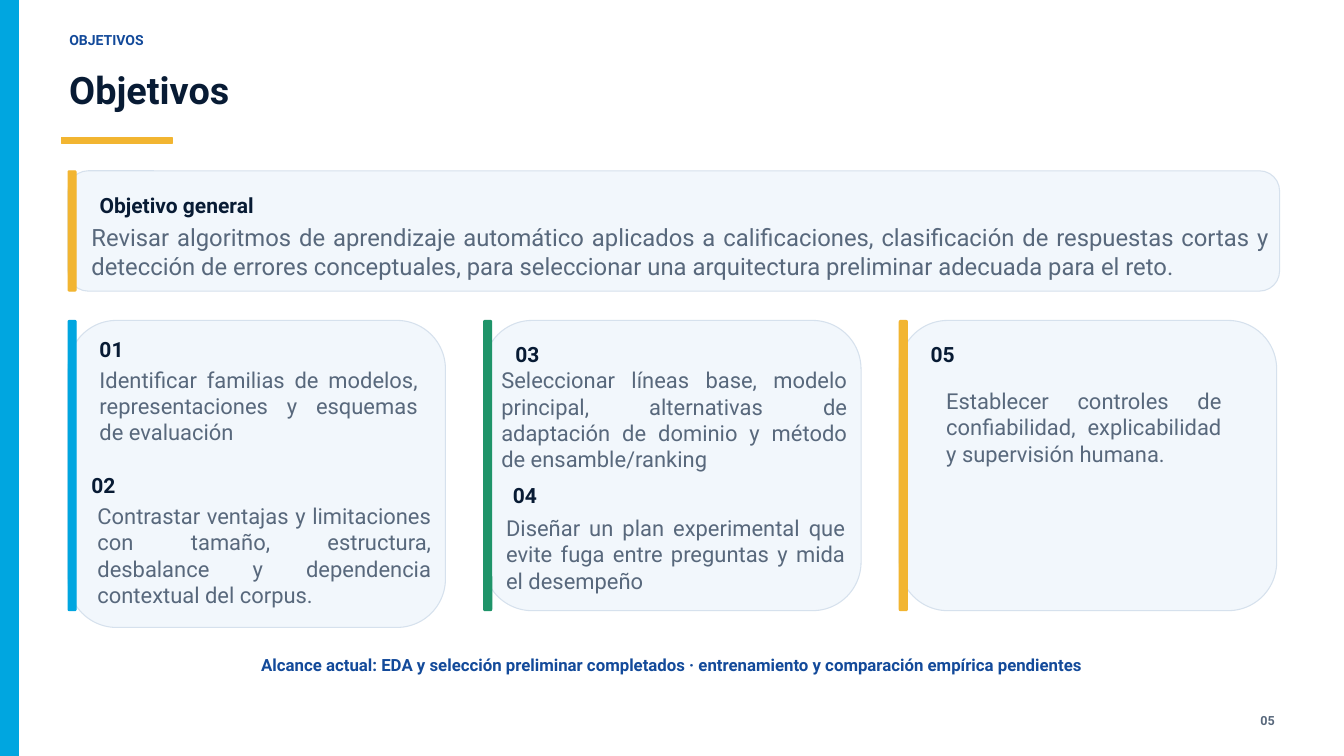
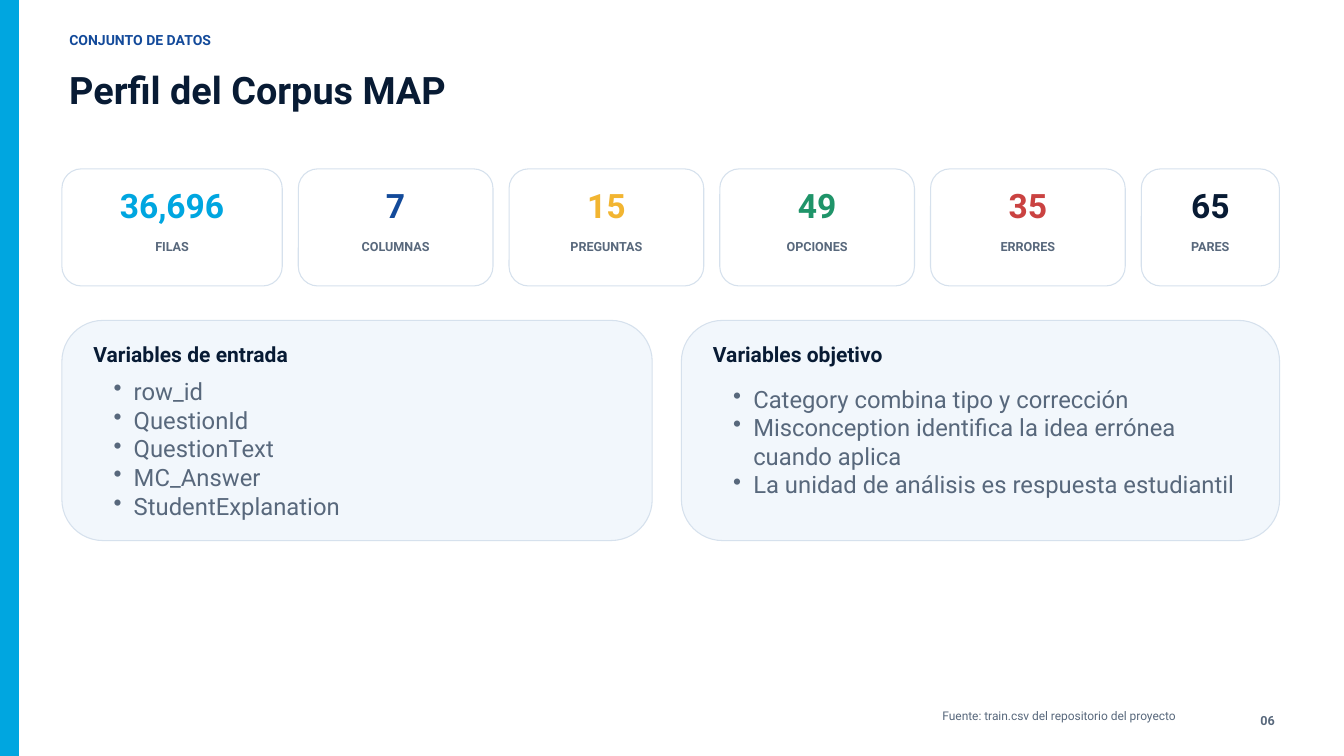
import pptx
import pptx.dml.color
import pptx.enum.shapes
import pptx.enum.text
import pptx.oxml.ns
import pptx.util
from lxml import etree

Pt = pptx.util.Pt
RGBColor = pptx.dml.color.RGBColor
ALIGN = pptx.enum.text.PP_ALIGN
SHAPE = pptx.enum.shapes.MSO_SHAPE

WHITE = RGBColor(0xFF, 0xFF, 0xFF)
CYAN = RGBColor(0x00, 0xA6, 0xE0)
BLUE = RGBColor(0x13, 0x4A, 0x9A)
NAVY = RGBColor(0x08, 0x1B, 0x34)
SLATE = RGBColor(0x58, 0x68, 0x7C)
GOLD = RGBColor(0xF2, 0xB5, 0x31)
GREEN = RGBColor(0x1F, 0x94, 0x69)
RED = RGBColor(0xCA, 0x42, 0x41)
PANEL = RGBColor(0xF2, 0xF7, 0xFC)
BORDER = RGBColor(0xD6, 0xE1, 0xED)

WIDTH, HEIGHT = 1440, 810
LEFT, RIGHT = 66.3, 1371
ACCENT_LEFT = 72.9
PANEL_TOP = 343.3


class Deck:
    """Hold the shared style and the current slide, and draw elements on it."""

    def __init__(self):
        self.presentation = pptx.Presentation()
        self.presentation.slide_width = Pt(WIDTH)
        self.presentation.slide_height = Pt(HEIGHT)
        self.slide = None

    def start_slide(self, section, title, number):
        """Add a slide with its side band, section, title and number."""
        layout = self.presentation.slide_layouts[6]
        self.slide = self.presentation.slides.add_slide(layout)
        self.slide.background.fill.solid()
        self.slide.background.fill.fore_color.rgb = WHITE
        self.box(0, 0, 20.2, HEIGHT, CYAN)
        self.text(section, 74.2, 33.8, 904, 23, size=15, color=BLUE, bold=True)
        self.text(title, 74.2, 71.3, 1271.5, 47.5, size=40.5, color=NAVY, bold=True)
        self.text(number, 1320.5, 763.9, 45.4, 16.6, size=13.5, bold=True, align=ALIGN.RIGHT)

    def box(self, left, top, width, height, fill, line=None, radius=0):
        """Draw a rectangle, rounded when a radius is given."""
        kind = SHAPE.ROUNDED_RECTANGLE if radius else SHAPE.RECTANGLE
        shape = self.slide.shapes.add_shape(kind, Pt(left), Pt(top), Pt(width), Pt(height))
        if radius:
            shape.adjustments[0] = radius / min(width, height)
        shape.shadow.inherit = False
        shape.fill.solid()
        shape.fill.fore_color.rgb = fill
        shape.line.color.rgb = line or fill
        shape.line.width = Pt(1.13)

    def text(self, content, left, top, width, height, *, size, color=SLATE,
             bold=False, align=ALIGN.LEFT, bullet=False):
        """Add a text box with one paragraph per line of content."""
        shape = self.slide.shapes.add_textbox(Pt(left), Pt(top), Pt(width), Pt(height))
        frame = shape.text_frame
        frame.word_wrap = True
        frame.auto_size = pptx.enum.text.MSO_AUTO_SIZE.SHAPE_TO_FIT_TEXT
        frame.margin_left = frame.margin_top = frame.margin_right = frame.margin_bottom = 0
        frame.text = content
        for paragraph in frame.paragraphs:
            paragraph.alignment = align
            paragraph.line_spacing = Pt(1.2 * size)
            if bullet:
                self.add_bullet(paragraph)
            paragraph.font.name = "Roboto"
            paragraph.font.size = Pt(size)
            paragraph.font.bold = bold
            paragraph.font.color.rgb = color

    def add_bullet(self, paragraph):
        """Give a paragraph a hanging bullet."""
        paragraph.level = 1
        properties = paragraph._p.get_or_add_pPr()
        properties.set("marL", str(Pt(43.2)))
        properties.set("indent", str(-Pt(21.6)))
        etree.SubElement(properties, pptx.oxml.ns.qn("a:buChar"), char="•")

    def heading(self, content, left, top, width, height=27.4):
        """Add a card heading."""
        self.text(content, left, top, width, height, size=22.5, color=NAVY, bold=True)

    def accent_card(self, left, top, width, height, color, radius, bar_height):
        """Draw a pale card with a coloured bar on its left edge."""
        self.box(left, top, width, height, PANEL, BORDER, radius)
        self.box(left, top, 8.64, bar_height, color, radius=1.4)

    def objective(self, number, number_at, content, content_at):
        """Add a numbered objective."""
        self.heading(number, *number_at, 341.3)
        self.text(content, *content_at, size=23.5, align=ALIGN.JUSTIFY)

    def metric(self, left, width, value, label, color):
        """Draw a card with a large value over its label."""
        inset = 20.7
        self.box(left, 180.9, width, 125.5, WHITE, BORDER, 21)
        self.text(value, left + inset, 198, width - 2 * inset, 43.9,
                  size=36, color=color, bold=True, align=ALIGN.CENTER)
        self.text(label, left + inset, 255.6, width - 2 * inset, 21.6,
                  size=13.5, bold=True, align=ALIGN.CENTER)

    def variable_panel(self, left, width, title, items, items_top):
        """Draw a panel with a heading and a bulleted list."""
        inset, text_width = 33.8, width - 62.7
        self.box(left, PANEL_TOP, width, 235.9, PANEL, BORDER, 44)
        self.heading(title, left + inset, 365.8, text_width, 31)
        self.text("\n".join(items), left + inset, items_top, text_width,
                  30.6 * len(items), size=25.5, bullet=True)


def build_objectives(deck):
    """Build the slide with the general and specific objectives."""
    deck.start_slide("OBJETIVOS", "Objetivos", "05")
    deck.box(LEFT, 147.6, 118, 6.5, GOLD)
    deck.accent_card(ACCENT_LEFT, 183, 1298.1, 128.9, GOLD, 21.6, 128.9)
    deck.heading("Objetivo general", 106.6, 205.9, 1234.8, 31)
    deck.text("Revisar algoritmos de aprendizaje automático aplicados a calificaciones, "
              "clasificación de respuestas cortas y detección de errores conceptuales, "
              "para seleccionar una arquitectura preliminar adecuada para el reto.",
              97.9, 239, 1262.9, 59.8, size=25.5, align=ALIGN.JUSTIFY)

    bar_height = 311
    for column, (color, height) in enumerate([(CYAN, 329), (GREEN, bar_height), (GOLD, bar_height)]):
        deck.accent_card(ACCENT_LEFT + column * 445.3, PANEL_TOP, 404.4, height, color, 52, bar_height)

    objectives = [
        ("01", (106.6, 360),
         "Identificar familias de modelos, representaciones y esquemas de evaluación",
         (106.6, 392.4, 341.3, 82.8)),
        ("02", (97.9, 506.2),
         "Contrastar ventajas y limitaciones con tamaño, estructura, desbalance "
         "y dependencia contextual del corpus.",
         (104.4, 538.6, 357.8, 110.9)),
        ("03", (552.2, 365.8),
         "Seleccionar líneas base, modelo principal, alternativas de adaptación "
         "de dominio y método de ensamble/ranking",
         (537.1, 393.1, 370.8, 111.6)),
        ("04", (549.4, 517),
         "Diseñar un plan experimental que evite fuga entre preguntas y mida el desempeño",
         (542.2, 551.5, 363.6, 82.8)),
        ("05", (997.2, 365.8),
         "Establecer controles de confiabilidad, explicabilidad y supervisión humana.",
         (1013.8, 415.4, 295.2, 83.5)),
    ]
    for objective in objectives:
        deck.objective(*objective)

    deck.text("Alcance actual: EDA y selección preliminar completados · "
              "entrenamiento y comparación empírica pendientes",
              100.1, 701.3, 1239.1, 23, size=18, color=BLUE, bold=True, align=ALIGN.CENTER)


def build_corpus_profile(deck):
    """Build the slide with the corpus figures and variables."""
    deck.start_slide("CONJUNTO DE DATOS", "Perfil del Corpus MAP", "06")
    metrics = [
        ("36,696", "FILAS", CYAN, 236.1),
        ("7", "COLUMNAS", BLUE, 208.6),
        ("15", "PREGUNTAS", GOLD, 208.6),
        ("49", "OPCIONES", GREEN, 208.6),
        ("35", "ERRORES", RED, 208.6),
        ("65", "PARES", NAVY, 148),
    ]
    left, gap = LEFT, 17.2
    for value, label, color, width in metrics:
        deck.metric(left, width, value, label, color)
        left += width + gap

    deck.variable_panel(LEFT, 632.5, "Variables de entrada",
                        ["row_id", "QuestionId", "QuestionText", "MC_Answer", "StudentExplanation"],
                        403.9)
    target_width = 640.9
    deck.variable_panel(RIGHT - target_width, target_width, "Variables objetivo",
                        ["Category combina tipo y corrección",
                         "Misconception identifica la idea errónea cuando aplica",
                         "La unidad de análisis es respuesta estudiantil"],
                        411.8)
    deck.text("Fuente: train.csv del repositorio del proyecto", 596.2, 759.6, 663.1, 23.8,
              size=12.75, align=ALIGN.RIGHT)


def main():
    """Build and save the presentation."""
    deck = Deck()
    build_objectives(deck)
    build_corpus_profile(deck)
    deck.presentation.save("out.pptx")


if __name__ == "__main__":
    main()
